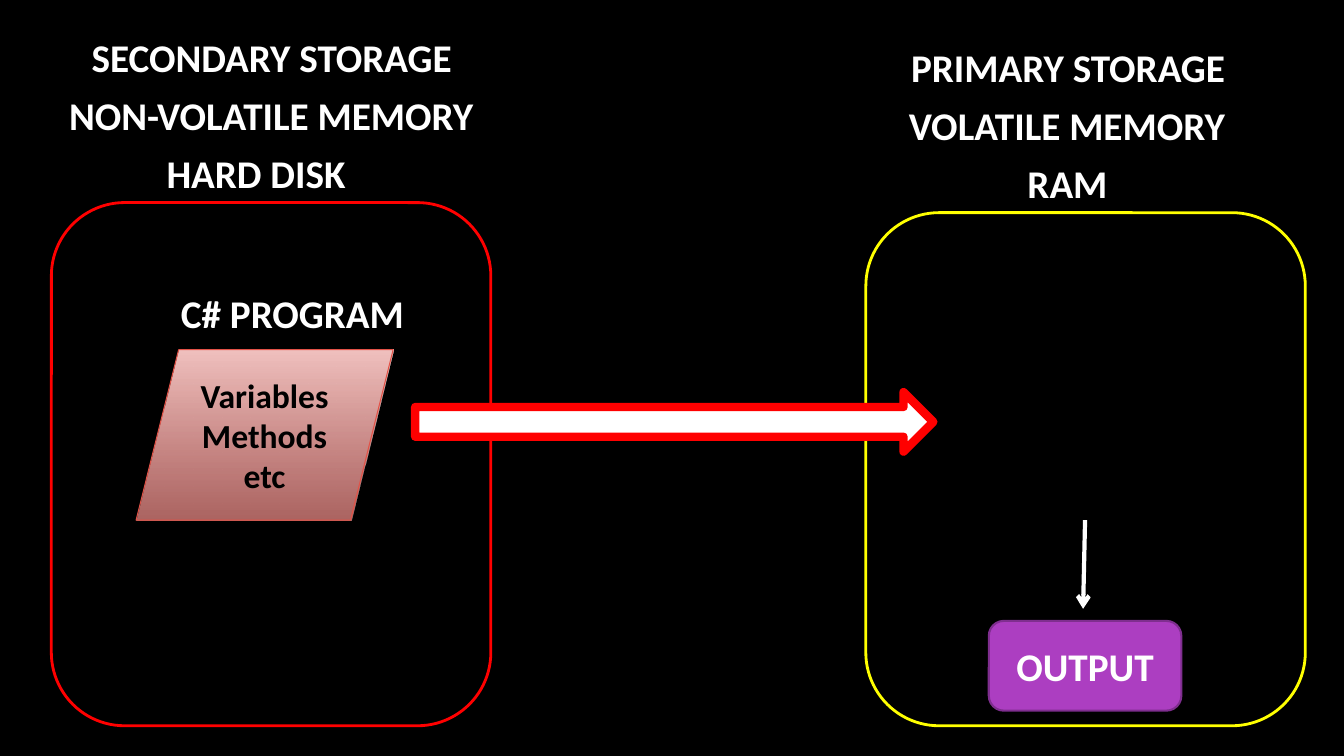
import pptx
import pptx.util
from pptx.dml.color import RGBColor
from pptx.enum.dml import MSO_FILL
from pptx.enum.shapes import MSO_CONNECTOR, MSO_SHAPE
from pptx.enum.text import MSO_ANCHOR, MSO_AUTO_SIZE, PP_ALIGN
from pptx.oxml.ns import qn
from lxml import etree

Pt = pptx.util.Pt
COLORS = {
    "black": "000000", "white": "FFFFFF", "red": "FF0000", "yellow": "FFFF00",
    "pink": "F2C2C0", "rose": "E88985", "program_line": "E25247",
    "purple": "AC3EC1", "dark_purple": "7F2E8F",
}
LABEL_HEIGHT = 41.2
LABEL_PITCH = 41.4


def rgb(name):
    return RGBColor.from_string(COLORS[name])


def write(sp, text, size, color):
    """Fill a shape with centred bold lines."""
    tf = sp.text_frame
    tf.text = text
    tf.vertical_anchor = MSO_ANCHOR.MIDDLE
    for p in tf.paragraphs:
        p.alignment = PP_ALIGN.CENTER
        for r in p.runs:
            r.font.name = "Calibri"
            r.font.size = Pt(size)
            r.font.bold = True
            r.font.color.rgb = rgb(color)


def add_label(s, text, left, top, width):
    sp = s.shapes.add_textbox(Pt(left), Pt(top), Pt(width), Pt(LABEL_HEIGHT))
    write(sp, text, 28, "white")
    sp.text_frame.word_wrap = False
    sp.text_frame.auto_size = MSO_AUTO_SIZE.SHAPE_TO_FIT_TEXT


def add_box(s, kind, box, fill, line, weight):
    sp = s.shapes.add_shape(kind, *(Pt(v) for v in box))
    sp.shadow.inherit = False
    sp.fill.solid()
    sp.fill.fore_color.rgb = rgb(fill)
    sp.line.color.rgb = rgb(line)
    sp.line.width = Pt(weight)
    return sp


def add_storage(s, box, line, labels):
    """Draw a storage frame with its labels stacked above it.

    Each label is its text, its offset from the frame's left, and its width.
    """
    left, top, width, height = box
    add_box(s, MSO_SHAPE.ROUNDED_RECTANGLE, box, "black", line, 2)
    first = top - 0.5 - LABEL_PITCH * len(labels)
    for i, (text, offset, label_width) in enumerate(labels):
        add_label(s, text, left + offset, first + i * LABEL_PITCH, label_width)


def add_program(s, left, top, width, height):
    add_label(s, "C# PROGRAM", left + 23.8, top - 46.8, 175.7)
    sp = add_box(s, MSO_SHAPE.PARALLELOGRAM, (left, top, width, height),
                 "pink", "program_line", 0.75)
    sp.fill.gradient()
    sp.fill.gradient_angle = 270
    for stop, position, color in zip(sp.fill.gradient_stops, (0, 1), ("pink", "rose")):
        stop.position = position
        stop.color.rgb = rgb(color)
    end_color = sp._element.spPr.findall(".//" + qn("a:gs"))[-1][0]
    etree.SubElement(end_color, qn("a:alpha"), val="74000")
    write(sp, "Variables\nMethods\netc", 24, "black")


def add_output(s, left, top, width, height):
    """Draw the output box and the arrow pointing down to it."""
    middle = left + width / 2
    arrow = s.shapes.add_connector(MSO_CONNECTOR.STRAIGHT, Pt(middle), Pt(top - 72),
                                   Pt(middle - 1.4), Pt(top - 8.6))
    arrow.line.color.rgb = rgb("white")
    arrow.line.width = Pt(3)
    etree.SubElement(arrow.line._get_or_add_ln(), qn("a:tailEnd"), type="arrow")
    etree.SubElement(arrow._element.spPr, qn("a:effectLst"))
    sp = add_box(s, MSO_SHAPE.ROUNDED_RECTANGLE, (left, top, width, height),
                 "purple", "dark_purple", 1.5)
    write(sp, "OUTPUT", 28, "white")


def main():
    prs = pptx.Presentation()
    prs.slide_width, prs.slide_height = Pt(960), Pt(540)
    s = prs.slides.add_slide(prs.slide_layouts[6])
    s.background.fill.solid()
    s.background.fill.fore_color.rgb = rgb("black")

    add_storage(s, (36.7, 144.7, 313.9, 373.7), "red", [
        ("SECONDARY STORAGE", 20.2, 274.3),
        ("NON-VOLATILE MEMORY", 2.9, 308.2),
        ("HARD DISK", 74.2, 144),
    ])
    add_storage(s, (618.5, 151.9, 313.9, 366.5), "yellow", [
        ("PRIMARY STORAGE", 23.8, 241.2),
        ("VOLATILE MEMORY", 22.3, 242.6),
        ("RAM", 108, 72),
    ])
    add_program(s, 97.2, 249.8, 183.6, 121.7)
    add_box(s, MSO_SHAPE.RIGHT_ARROW, (296.6, 280.1, 370.1, 42.5), "white", "red", 6)
    add_output(s, 706.3, 443.5, 137.5, 64.1)
    prs.save("out.pptx")


if __name__ == "__main__":
    main()
